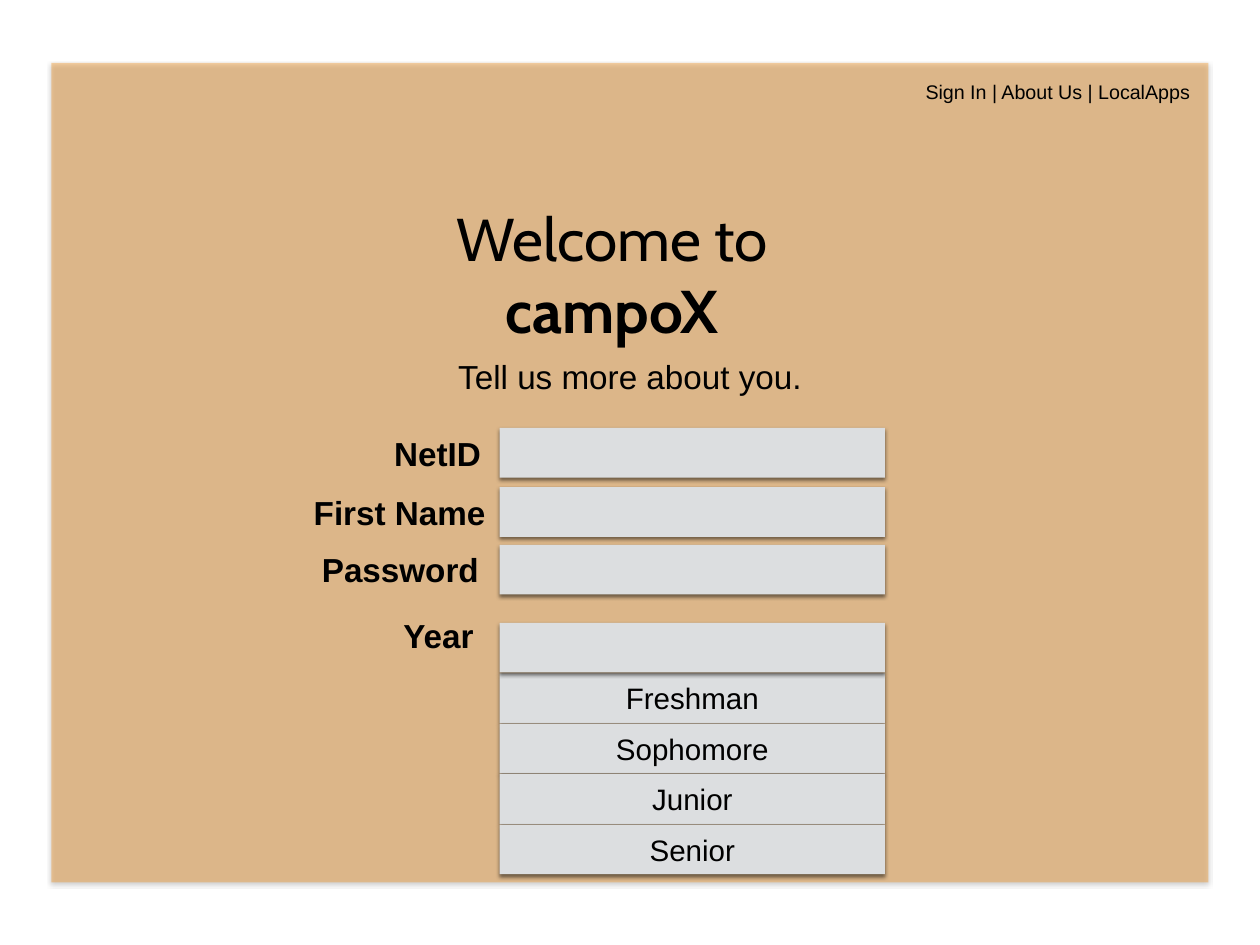
from lxml import etree
from pptx import Presentation
from pptx.dml.color import RGBColor
from pptx.enum import shapes, text
from pptx.oxml import ns
from pptx.util import Pt

# Content
NAV = "Sign In | About Us | LocalApps"
TITLE = [("Welcome to ", False), ("campoX", True)]
PROMPT = "Tell us more about you."
FIELDS = [  # label, label left, label width, label top, field top
    ("NetID", 316, 79.2, 347.8, 347.8),
    ("First Name", 250.6, 148.3, 396, 396),
    ("Password", 257, 136.8, 442.8, 442.8),
    ("Year", 323.3, 66.2, 496.1, 506.2),
]
YEARS = ["Freshman", "Sophomore", "Junior", "Senior"]

# Layout and colours
FIELD_LEFT, FIELD_WIDTH, ROW_HEIGHT = 406, 313.2, 40.3
YEARS_TOP, YEAR_STEP = 547.2, 41
INSET = 4.32
BLACK = RGBColor(0, 0, 0)
ORANGE = RGBColor(0xF3, 0x90, 0x19)
GREY = RGBColor(0xDC, 0xDE, 0xE0)


def add_alpha(colour, percent):
    etree.SubElement(colour, ns.qn("a:alpha"), val=str(percent * 1000))


def add_box(page, left, top, width, height, colour):
    """Borderless rectangle with a soft shadow straight below."""
    box = page.shapes.add_shape(shapes.MSO_SHAPE.RECTANGLE,
                                Pt(left), Pt(top), Pt(width), Pt(height))
    box.fill.solid()
    box.fill.fore_color.rgb = colour
    box.line.fill.background()
    box.shadow.inherit = False
    effects = box._element.spPr.find(ns.qn("a:effectLst"))
    shadow = etree.SubElement(effects, ns.qn("a:outerShdw"), blurRad=str(Pt(3)),
                              dist=str(Pt(2)), dir="5400000", rotWithShape="0")
    add_alpha(etree.SubElement(shadow, ns.qn("a:srgbClr"), val="000000"), 50)
    return box


def write(box, spans, size, font="Arial", inset=0):
    """Centre one paragraph of (words, bold) spans in a box."""
    frame = box.text_frame
    frame.vertical_anchor = text.MSO_ANCHOR.MIDDLE
    frame.margin_left = frame.margin_right = Pt(inset)
    frame.margin_top = frame.margin_bottom = Pt(inset)
    para = frame.paragraphs[0]
    para.alignment = text.PP_ALIGN.CENTER
    para.font.name, para.font.size = font, Pt(size)
    para.font.color.rgb = BLACK
    for words, bold in spans:
        span = para.add_run()
        span.text = words
        span.font.bold = bold


def add_label(page, left, top, width, height, spans, size, font="Arial", wrap=False):
    box = page.shapes.add_textbox(Pt(left), Pt(top), Pt(width), Pt(height))
    box.text_frame.word_wrap = wrap
    box.text_frame.auto_size = text.MSO_AUTO_SIZE.SHAPE_TO_FIT_TEXT
    write(box, spans, size, font, INSET)


def main():
    deck = Presentation()
    deck.slide_width, deck.slide_height = Pt(1024), Pt(768)
    page = deck.slides.add_slide(deck.slide_layouts[6])

    # Translucent panel
    panel = add_box(page, 41.8, 51.1, 940.3, 666, ORANGE)
    add_alpha(panel._element.spPr.find(ns.qn("a:solidFill"))[0], 38)

    # Headings
    add_label(page, 744.5, 60.5, 230.4, 27.4, [(NAV, False)], 16, wrap=True)
    add_label(page, 294.5, 188.6, 406, 67, TITLE, 49, "Cabin")
    add_label(page, 368, 285.8, 288, ROW_HEIGHT, [(PROMPT, False)], 27)

    # Year choices, below the Year field so that its shadow falls on them
    for index, year in enumerate(YEARS):
        choice = add_box(page, FIELD_LEFT, YEARS_TOP + index * YEAR_STEP,
                         FIELD_WIDTH, ROW_HEIGHT, GREY)
        write(choice, [(year, False)], 24)

    # Form fields
    for label, left, width, label_top, field_top in FIELDS:
        add_label(page, left, label_top, width, ROW_HEIGHT, [(label, True)], 27)
        add_box(page, FIELD_LEFT, field_top, FIELD_WIDTH, ROW_HEIGHT, GREY)

    deck.save("out.pptx")


if __name__ == "__main__":
    main()
